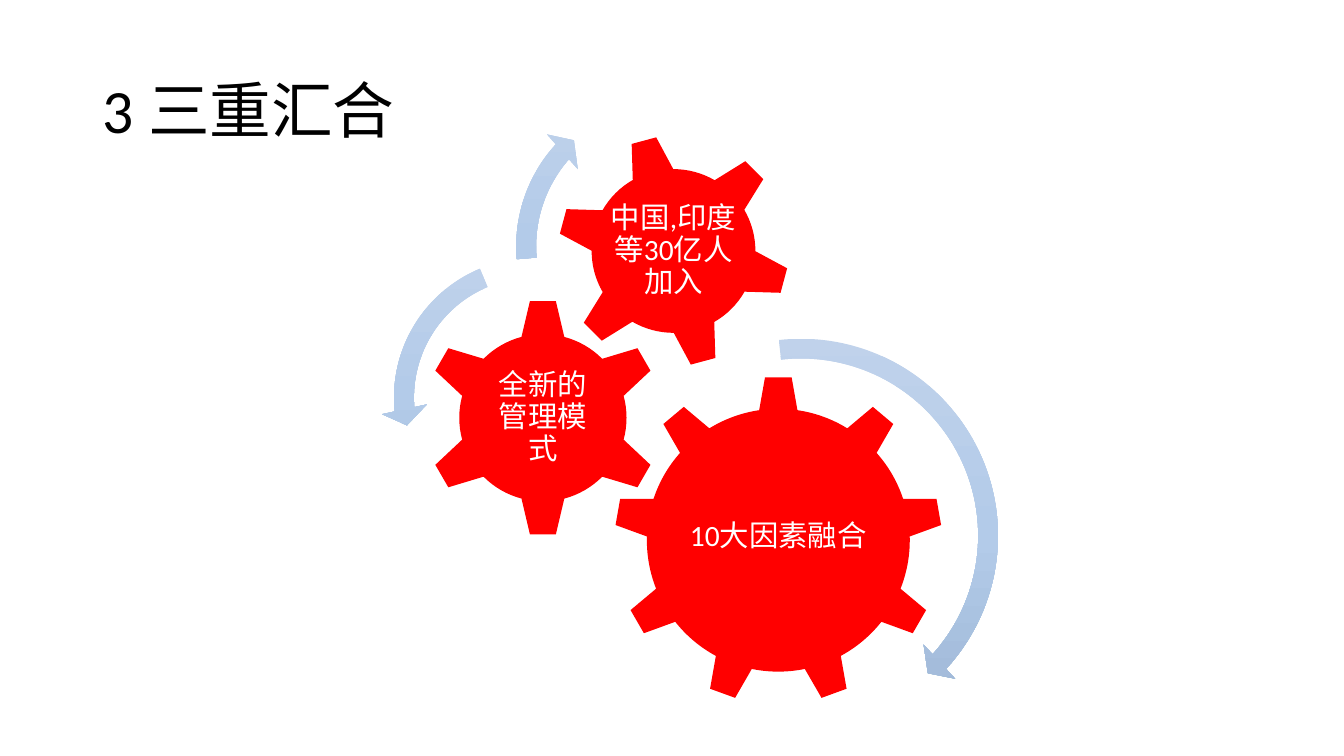
from copy import deepcopy

from pptx import Presentation
from pptx.dml.color import RGBColor
from pptx.enum.shapes import MSO_SHAPE as SHAPE
from pptx.enum.text import MSO_ANCHOR as ANCHOR, PP_ALIGN as ALIGN
from pptx.util import Inches, Pt

COLORS = {
    "title": "000000",
    "gear": "FF0000",
    "label": "FFFFFF",
    "arrow_top": "C0D2EB",
    "arrow_middle": "B3CBE9",
    "arrow_bottom": "9BB4D3",
}
FONT = "Calibri"

# preset, (left, top, size), rotation, label (width, height, rise), wording
GEARS = [
    (SHAPE.GEAR_9, (6.09, 3.73, 3.26), 0, (1.95, 1.68, 0.03), "10大因素融合"),
    (SHAPE.GEAR_6, (4.2, 2.96, 2.37), 0, (1.18, 1.17, 0), "全新的管理模式"),
    (SHAPE.GEAR_6, (5.52, 1.33, 2.32), 345, (1.3, 1.3, 0), "中国,印度等30亿人加入"),
]
# preset, (left, top, size), adjustments
ARROWS = [
    (SHAPE.CIRCULAR_ARROW, (5.86, 3.23, 4.17),
     (0.047, 2.99, 25.393, 158.123, 0.055)),
    (SHAPE.LEFT_CIRCULAR_ARROW, (3.78, 2.43, 3.03),
     (0.065, 4.3, 104.891, 148.378, 0.075)),
    (SHAPE.CIRCULAR_ARROW, (4.99, 0.81, 3.27),
     (0.06, 3.941, 133.138, 105.082, 0.07)),
]


def color(name):
    return RGBColor.from_string(COLORS[name])


def format_text(frame, text, size, color_name, align):
    frame.text = text
    frame.word_wrap = True
    frame.vertical_anchor = ANCHOR.MIDDLE
    paragraph = frame.paragraphs[0]
    paragraph.alignment = align
    paragraph.line_spacing = 0.9
    font = paragraph.runs[0].font
    font.name = FONT
    font.size = Pt(size)
    font.color.rgb = color(color_name)


def add_title(slide, left, top, width, height):
    title = slide.shapes.title
    title.left, title.top = Inches(left), Inches(top)
    title.width, title.height = Inches(width), Inches(height)
    format_text(title.text_frame, "3 三重汇合", 44, "title", ALIGN.LEFT)


def add_square_shape(shapes, preset, box):
    """Add a borderless, shadowless shape in a (left, top, size) box."""
    left, top, size = map(Inches, box)
    shape = shapes.add_shape(preset, left, top, size, size)
    shape.shadow.inherit = False
    shape.line.fill.background()
    return shape


def add_gear(shapes, preset, box, rotation, label_box, text):
    gear = add_square_shape(shapes, preset, box)
    gear.rotation = rotation
    gear.fill.solid()
    gear.fill.fore_color.rgb = color("gear")

    left, top, size = box
    width, height, rise = label_box
    label = shapes.add_textbox(
        Inches(left + (size - width) / 2),
        Inches(top + (size - height) / 2 - rise),
        Inches(width), Inches(height))
    frame = label.text_frame
    frame.margin_left = frame.margin_right = Inches(0.03)
    frame.margin_top = frame.margin_bottom = Inches(0.03)
    format_text(frame, text, 21, "label", ALIGN.CENTER)


def fill_downward(fill):
    """Apply the three-stop arrow gradient from top to bottom."""
    fill.gradient()
    fill.gradient_angle = 270
    stop_list = fill._fill._gradFill.gsLst
    stop_list.insert(1, deepcopy(stop_list[0]))
    names = ("arrow_top", "arrow_middle", "arrow_bottom")
    for index, (stop, name) in enumerate(zip(fill.gradient_stops, names)):
        stop.position = index / 2
        stop.color.rgb = color(name)


def add_arrow(shapes, preset, box, adjustments):
    arrow = add_square_shape(shapes, preset, box)
    for index, value in enumerate(adjustments):
        arrow.adjustments[index] = value
    fill_downward(arrow.fill)


def add_gear_diagram(slide):
    shapes = slide.shapes.add_group_shape().shapes
    for gear in GEARS:
        add_gear(shapes, *gear)
    for arrow in ARROWS:
        add_arrow(shapes, *arrow)


def main():
    deck = Presentation()
    deck.slide_width, deck.slide_height = Inches(13.33), Inches(7.5)
    slide = deck.slides.add_slide(deck.slide_layouts.get_by_name("Title Only"))
    add_title(slide, 0.92, 0.4, 11.5, 1.45)
    add_gear_diagram(slide)
    deck.save("out.pptx")


if __name__ == "__main__":
    main()
